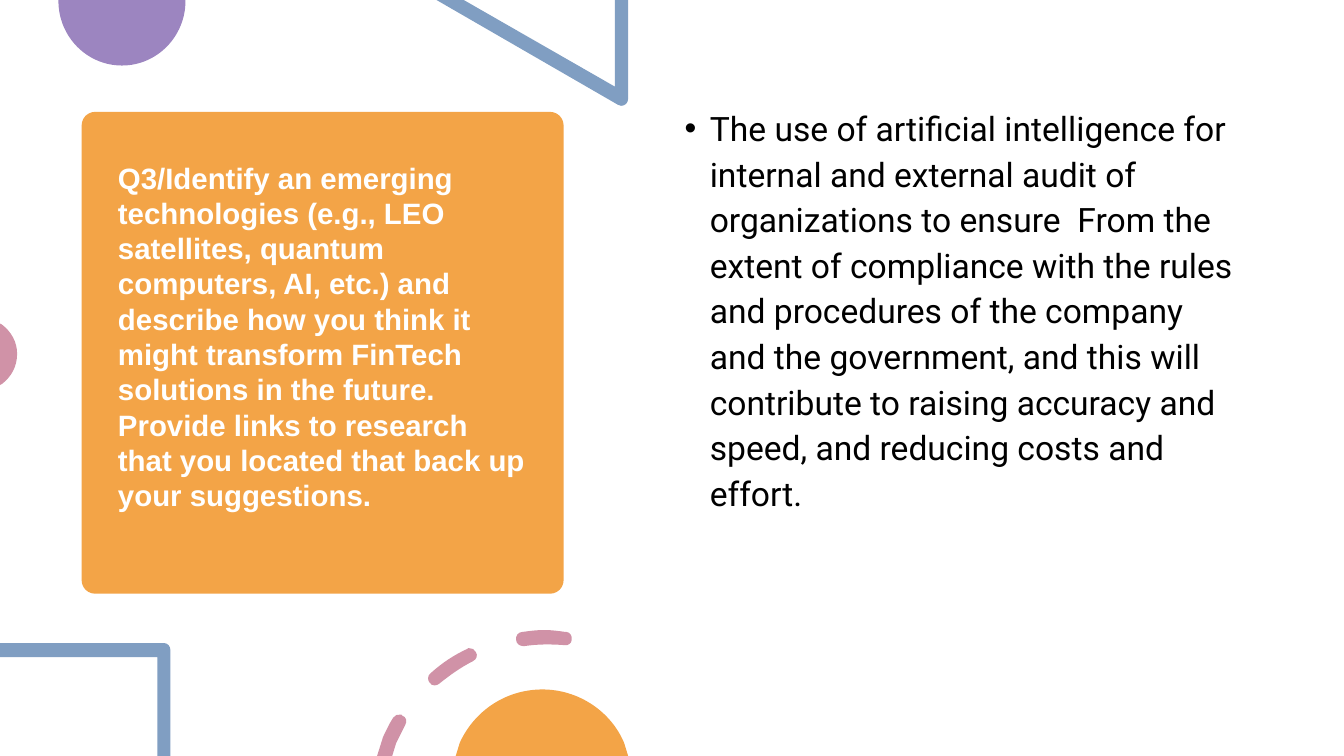
"""Build a question-and-answer slide with an orange card and cropped geometric ornaments."""
from copy import deepcopy

from lxml.etree import SubElement
from pptx import Presentation
from pptx.dml.color import RGBColor
from pptx.enum.shapes import MSO_SHAPE
from pptx.enum.text import MSO_ANCHOR, PP_ALIGN
from pptx.oxml.ns import qn
from pptx.util import Inches, Pt

THEME = {
    "orange": RGBColor.from_string("F3A447"),
    "purple": RGBColor.from_string("9C85C0"),
    "blue": RGBColor.from_string("809EC2"),
    "pink": RGBColor.from_string("D092A7"),
    "white": RGBColor.from_string("FFFFFF"),
    "black": RGBColor.from_string("000000"),
    "question_size": Pt(21),
    "answer_size": Pt(24),
}

QUESTION = (
    "Q3/Identify an emerging technologies (e.g., LEO satellites, quantum computers, "
    "AI, etc.) and describe how you think it might transform FinTech solutions in the "
    "future. Provide links to research that you located that back up your suggestions."
)
ANSWER = (
    "The use of artificial intelligence for internal and external audit of organizations "
    "to ensure  From the extent of compliance with the rules and procedures of the company "
    "and the government, and this will contribute to raising accuracy and speed, and "
    "reducing costs and effort."
)

PAGE = (0, 0, 13.33, 7.5)
CARD = (0.81, 1.11, 4.78, 4.78)
QUESTION_BOX = (1.05, 1.22, 4.31, 4.56)
ANSWER_BOX = (6.67, 0.9, 5.75, 5.35)
QUESTION_FORMAT = {"name": "Arial", "size": THEME["question_size"], "bold": True}
ANSWER_FORMAT = {"name": "Roboto", "size": THEME["answer_size"], "bold": False}
INSETS = {"margin_left": 0.12, "margin_top": 0.12, "margin_right": 0.12, "margin_bottom": 0.1}

# Each outline starts at a point; pairs are straight steps and sixes are cubic curves.
PURPLE_DISC = [
    [(1.84, 0), (0.58, 0), (0.58, 0.01), (0.58, 0.36, 0.86, 0.65, 1.21, 0.65),
     (1.56, 0.65, 1.84, 0.36, 1.84, 0.01)],
]
TRIANGLE = [
    [(6.23, 0), (6.1, 0), (6.1, 0.86), (4.6, 0), (4.33, 0), (6.13, 1.04),
     (6.14, 1.05, 6.15, 1.05, 6.16, 1.05), (6.2, 1.05, 6.23, 1.02, 6.23, 0.98)],
]
PINK_DISC = [
    [(0, 3.21), (0, 3.82), (0.02, 3.81), (0.11, 3.74, 0.17, 3.64, 0.17, 3.51),
     (0.17, 3.39, 0.11, 3.29, 0.02, 3.22)],
]
SQUARE = [
    [(1.63, 6.38), (0, 6.38), (0, 6.52), (1.56, 6.52), (1.56, 7.5), (1.69, 7.5),
     (1.69, 6.45), (1.69, 6.41, 1.66, 6.38, 1.63, 6.38)],
]
DASHED_ARC = [
    [(3.97, 7.09), (3.94, 7.08, 3.92, 7.1, 3.9, 7.12), (3.86, 7.18, 3.83, 7.25, 3.8, 7.31),
     (3.74, 7.5), (3.89, 7.5), (3.93, 7.37), (3.96, 7.31, 3.99, 7.25, 4.02, 7.19),
     (4.04, 7.16, 4.03, 7.11, 3.99, 7.1), (3.99, 7.09, 3.98, 7.09, 3.97, 7.09)],
    [(4.65, 6.43), (4.65, 6.43, 4.64, 6.43, 4.63, 6.44), (4.5, 6.5, 4.38, 6.58, 4.27, 6.68),
     (4.24, 6.7, 4.24, 6.75, 4.26, 6.77), (4.27, 6.79, 4.29, 6.8, 4.31, 6.8), (4.31, 6.8),
     (4.33, 6.8, 4.35, 6.79, 4.36, 6.78), (4.46, 6.7, 4.57, 6.62, 4.69, 6.56),
     (4.73, 6.54, 4.74, 6.5, 4.72, 6.47), (4.71, 6.44, 4.68, 6.43, 4.65, 6.43)],
    [(5.4, 6.25), (5.32, 6.25, 5.25, 6.26, 5.18, 6.27), (5.14, 6.27, 5.11, 6.31, 5.12, 6.35),
     (5.12, 6.38, 5.15, 6.41, 5.19, 6.41), (5.19, 6.41, 5.19, 6.41, 5.2, 6.41),
     (5.33, 6.39, 5.46, 6.39, 5.6, 6.4), (5.63, 6.41, 5.67, 6.38, 5.67, 6.35),
     (5.68, 6.31, 5.65, 6.27, 5.62, 6.27), (5.62, 6.27, 5.61, 6.27, 5.61, 6.27),
     (5.54, 6.26, 5.47, 6.25, 5.4, 6.25)],
]
ORANGE_DISC = [
    [(5.38, 6.84), (5.01, 6.84, 4.7, 7.06, 4.56, 7.37), (4.52, 7.5), (6.23, 7.5),
     (6.19, 7.37), (6.06, 7.06, 5.74, 6.84, 5.38, 6.84)],
]
ORNAMENTS_BELOW_ANSWER = [(PURPLE_DISC, "purple"), (TRIANGLE, "blue"), (PINK_DISC, "pink")]
ORNAMENTS_ABOVE_ANSWER = [(SQUARE, "blue"), (DASHED_ARC, "pink"), (ORANGE_DISC, "orange")]


def paint(shape, colour):
    shape.shadow.inherit = False
    shape.fill.solid()
    shape.fill.fore_color.rgb = THEME[colour]
    shape.line.fill.background()


def add_panel(slide, preset, box, colour):
    panel = slide.shapes.add_shape(preset, *map(Inches, box))
    paint(panel, colour)
    return panel


def knots(outline):
    return [(Inches(step[i]), Inches(step[i + 1]))
            for step in outline for i in range(0, len(step), 2)]


def bend_curves(shape, outlines):
    segments = iter(list(shape._element.iter(qn("a:lnTo"))))
    for outline in outlines:
        for step in outline[1:]:
            segment = next(segments)
            if len(step) == 6:
                curve = segment.makeelement(qn("a:cubicBezTo"))
                segment.addprevious(curve)
                for part in (segment, next(segments), next(segments)):
                    curve.append(part[0])
                    part.getparent().remove(part)


def add_ornament(slide, outlines, colour):
    first, *others = [knots(outline) for outline in outlines]
    builder = slide.shapes.build_freeform(*first[0], scale=1.0)
    builder.add_line_segments(first[1:], close=True)
    for points in others:
        builder.move_to(*points[0])
        builder.add_line_segments(points[1:], close=True)
    ornament = builder.convert_to_shape()
    # The builder closes each outline with its own closing step, leaving one segment per knot.
    bend_curves(ornament, outlines)
    paint(ornament, colour)


def add_words(slide, box, words, font_format, colour, anchor):
    frame = slide.shapes.add_textbox(*map(Inches, box)).text_frame
    frame.word_wrap = True
    frame.vertical_anchor = anchor
    for side, inset in INSETS.items():
        setattr(frame, side, Inches(inset))
    paragraph = frame.paragraphs[0]
    paragraph.alignment = PP_ALIGN.LEFT
    run = paragraph.add_run()
    run.text = words
    for attribute, value in font_format.items():
        setattr(run.font, attribute, value)
    run.font.color.rgb = THEME[colour]
    return paragraph


def end_with_break(paragraph):
    paragraph.add_line_break()
    run_format = paragraph.runs[0]._r.rPr
    paragraph._p[-1].append(deepcopy(run_format))
    end_format = SubElement(paragraph._p, qn("a:endParaRPr"))
    end_format.set("sz", run_format.get("sz"))


def add_bullet(paragraph, indent):
    paragraph.line_spacing = 1.13
    paragraph.space_before = Pt(10)
    properties = paragraph._p.get_or_add_pPr()
    properties.set("marL", str(indent))
    properties.set("indent", str(-indent))
    SubElement(properties, qn("a:buFont")).set("typeface", "Arial")
    SubElement(properties, qn("a:buChar")).set("char", "•")


def main():
    deck = Presentation()
    deck.slide_width, deck.slide_height = map(Inches, PAGE[2:])
    slide = deck.slides.add_slide(deck.slide_layouts[6])

    add_panel(slide, MSO_SHAPE.RECTANGLE, PAGE, "white")
    card = add_panel(slide, MSO_SHAPE.ROUNDED_RECTANGLE, CARD, "orange")
    card.adjustments[0] = 0.028

    question = add_words(slide, QUESTION_BOX, QUESTION, QUESTION_FORMAT, "white",
                         MSO_ANCHOR.MIDDLE)
    end_with_break(question)
    for outlines, colour in ORNAMENTS_BELOW_ANSWER:
        add_ornament(slide, outlines, colour)

    answer = add_words(slide, ANSWER_BOX, ANSWER, ANSWER_FORMAT, "black", MSO_ANCHOR.TOP)
    add_bullet(answer, Inches(0.25))
    for outlines, colour in ORNAMENTS_ABOVE_ANSWER:
        add_ornament(slide, outlines, colour)
    deck.save("out.pptx")


if __name__ == "__main__":
    main()
